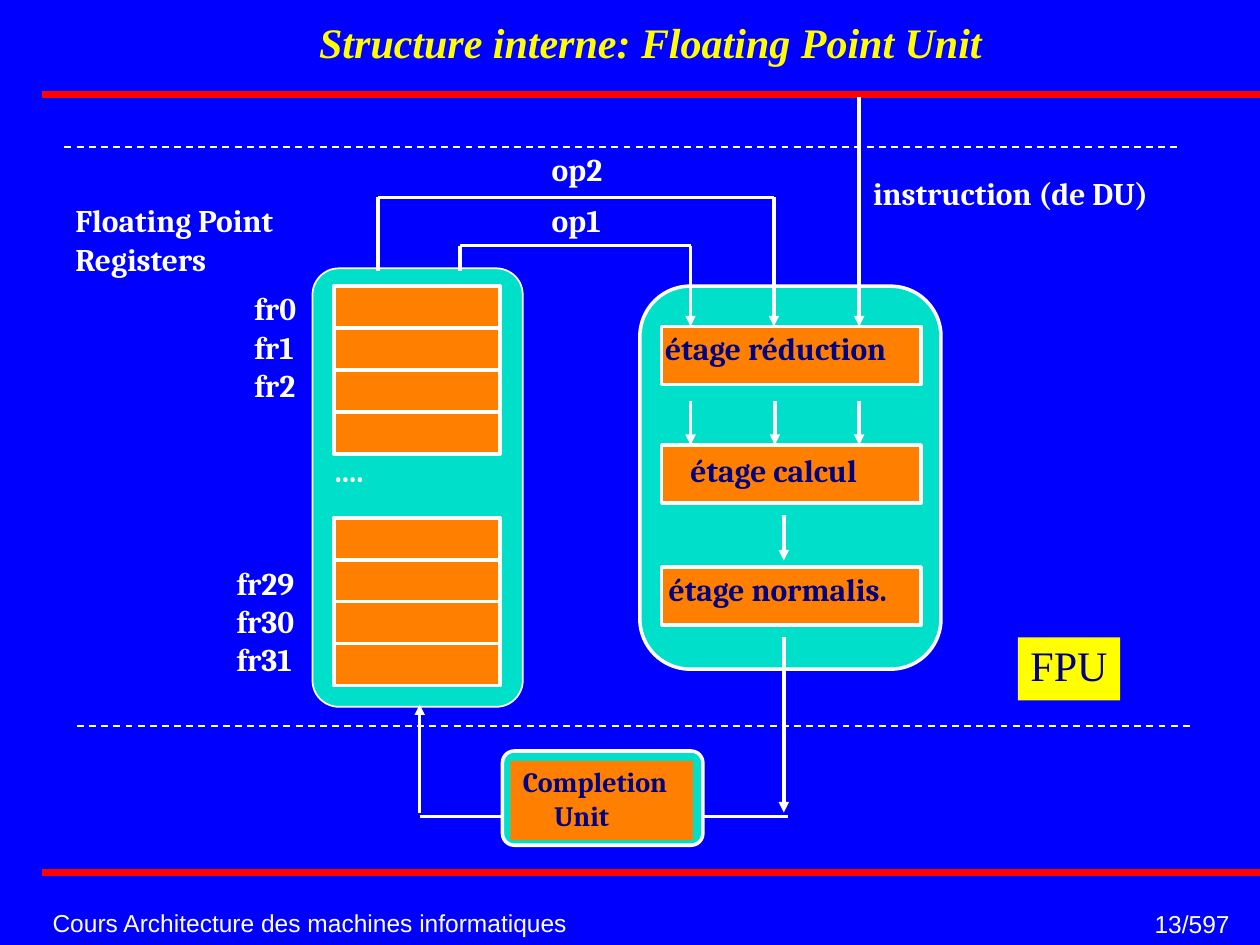
from lxml import etree
from pptx import Presentation
from pptx import util as u
from pptx.dml.color import RGBColor
from pptx.enum import dml, shapes, text
from pptx.oxml.ns import qn

COLORS = {
    "background": "0000FF", "rule": "FF0100", "white": "FFFFFF", "yellow": "FFFF00",
    "panel": "00DFCA", "unit": "FF7F00", "navy": "000080",
}

deck = Presentation()
deck.slide_width, deck.slide_height = u.Cm(25.4), u.Cm(19.05)
slide = deck.slides.add_slide(deck.slide_layouts[6])
slide.background.fill.solid()
slide.background.fill.fore_color.rgb = RGBColor.from_string(COLORS["background"])


def add_block(left, top, width, height, fill, border=None, corner=0):
    """Draw a filled block; border is a width in points, corner a rounding ratio."""
    kind = shapes.MSO_SHAPE.ROUNDED_RECTANGLE if corner else shapes.MSO_SHAPE.RECTANGLE
    block = slide.shapes.add_shape(kind, u.Cm(left), u.Cm(top), u.Cm(width), u.Cm(height))
    block.shadow.inherit = False
    if corner:
        block.adjustments[0] = corner
    block.fill.solid()
    block.fill.fore_color.rgb = RGBColor.from_string(COLORS[fill])
    if border:
        block.line.color.rgb = RGBColor.from_string(COLORS["white"])
        block.line.width = u.Pt(border)
    else:
        block.line.fill.background()


def add_line(x1, y1, x2, y2, color="white", width=2, arrow=False, dashed=False):
    line = slide.shapes.add_connector(
        shapes.MSO_CONNECTOR.STRAIGHT, u.Cm(x1), u.Cm(y1), u.Cm(x2), u.Cm(y2))
    line.line.color.rgb = RGBColor.from_string(COLORS[color])
    line.line.width = u.Pt(width)
    if dashed:
        line.line.dash_style = dml.MSO_LINE.DASH
    if arrow:
        etree.SubElement(line.line._get_or_add_ln(), qn("a:tailEnd"), type="triangle")
    etree.SubElement(line._element.spPr, qn("a:effectLst"))


# Page rules and unit boundaries
for y in (1.9, 17.58):
    add_line(0.84, y, 25.4, y, "rule", 4)
for x, y in ((1.3, 2.97), (1.55, 14.63)):
    add_line(x, y, x + 22.53, y, width=1, dashed=True)

# Register file: two banks of four registers
add_block(6.3, 5.41, 4.24, 8.84, "panel", 1, 0.126)
bank_left, bank_width, bank_height = 6.73, 3.35, 3.38
for bank_top in (5.77, 10.44):
    add_block(bank_left, bank_top, bank_width, bank_height, "unit", 2)
    for row in (1, 2, 3):
        y = bank_top + row * bank_height / 4
        add_line(bank_left, y, bank_left + bank_width, y)

# Pipeline stages
add_block(12.9, 5.77, 6.07, 7.72, "panel", 2, 0.167)
stage_tops = (6.58, 8.97, 11.43)
for top in stage_tops:
    add_block(13.34, top, 5.23, 1.17, "unit", 2)

# Operand paths from the registers to the first stage
for start_x, end_x, y in ((7.62, 15.6, 3.98), (9.27, 13.92, 4.95)):
    add_line(start_x, 5.46, start_x, y)
    add_line(start_x, y, end_x, y)
    add_line(end_x, y, end_x, stage_tops[0], arrow=True)
add_line(17.32, 1.96, 17.32, stage_tops[0], arrow=True)

# Flow between stages, then back to the registers through completion
for column in range(3):
    x = 13.92 + 1.7 * column
    add_line(x, 8.08, x, stage_tops[1], arrow=True)
add_line(15.8, 10.39, 15.8, 11.3, arrow=True)
add_line(15.8, 12.85, 15.8, 16.38, arrow=True)
add_line(8.46, 16.46, 15.88, 16.46)
add_line(8.46, 16.38, 8.46, 14.2, arrow=True)

add_block(10.13, 15.14, 4.04, 1.9, "panel", 2, 0.125)
add_block(10.29, 15.34, 3.68, 1.6, "unit")
add_block(20.52, 12.85, 2.06, 1.27, "yellow")

# Styles: font, size, colour, bold, italic, first line spacing
STYLES = {
    "title": ("Times New Roman", 24, "yellow", True, True, 0.94),
    "label": ("Cambria", 18, "white", True, False, 0.94),
    "stage": ("Cambria", 18, "navy", True, False, 0.94),
    "completion": ("Cambria", 16, "navy", True, False, 0.94),
    "badge": ("Times New Roman", 24, "navy", False, False, 0.94),
    "footer": ("Arial", 14, "white", False, False, 0.93),
}
LEFT, CENTER, RIGHT = text.PP_ALIGN.LEFT, text.PP_ALIGN.CENTER, text.PP_ALIGN.RIGHT
TOP, MIDDLE, BOTTOM = text.MSO_ANCHOR.TOP, text.MSO_ANCHOR.MIDDLE, text.MSO_ANCHOR.BOTTOM

captions = [
    (["Structure interne: Floating Point Unit"], 2.41, 0.28, 21.41, 1.22, "title", CENTER, BOTTOM),
    (["Floating Point", "Registers"], 1.27, 3.99, 5.03, 1.73, "label", LEFT, TOP),
    (["fr0", "fr1", "fr2"], 4.88, 5.77, 1.45, 2.49, "label", LEFT, TOP),
    (["...."], 6.09, 9.02, 1.9, 0.97, "label", CENTER, TOP),
    (["fr29", "fr30", "fr31"], 4.52, 11.3, 1.8, 2.49, "label", LEFT, TOP),
    (["op2"], 10.87, 2.97, 1.65, 0.97, "label", LEFT, TOP),
    (["op1"], 10.87, 3.99, 1.65, 0.97, "label", LEFT, TOP),
    (["instruction (de DU)"], 17.35, 3.45, 6.68, 0.97, "label", LEFT, TOP),
    (["étage réduction"], 13.16, 6.58, 5.54, 0.97, "stage", LEFT, TOP),
    (["étage calcul"], 13.67, 9.02, 4.32, 0.97, "stage", LEFT, TOP),
    (["étage normalis."], 13.23, 11.43, 5.49, 0.97, "stage", LEFT, TOP),
    (["Completion", "Unit"], 10.29, 15.34, 3.68, 1.6, "completion", LEFT, TOP),
    (["FPU"], 20.4, 12.85, 2.3, 1.22, "badge", CENTER, TOP),
    (["Cours Architecture des machines informatiques"], 0.81, 18.24, 11.4, 0.79, "footer", LEFT, MIDDLE),
    (["13/597"], 20.04, 18.26, 5, 0.81, "footer", RIGHT, TOP),
]
for lines, left, top, width, height, style, align, anchor in captions:
    font_name, size, color, bold, italic, first_spacing = STYLES[style]
    frame = slide.shapes.add_textbox(
        u.Cm(left), u.Cm(top), u.Cm(width), u.Cm(height)).text_frame
    frame.word_wrap = True
    frame.vertical_anchor = anchor
    for index, line in enumerate(lines):
        paragraph = frame.add_paragraph() if index else frame.paragraphs[0]
        paragraph.alignment = align
        paragraph.line_spacing = 1.0 if index else first_spacing
        if line == "Unit":
            paragraph._p.get_or_add_pPr().set("marL", str(u.Cm(0.63)))
        run = paragraph.add_run()
        run.text = line
        run.font.name = font_name
        run.font.size = u.Pt(size)
        run.font.bold = bold
        run.font.italic = italic
        run.font.color.rgb = RGBColor.from_string(COLORS[color])

deck.save("out.pptx")
